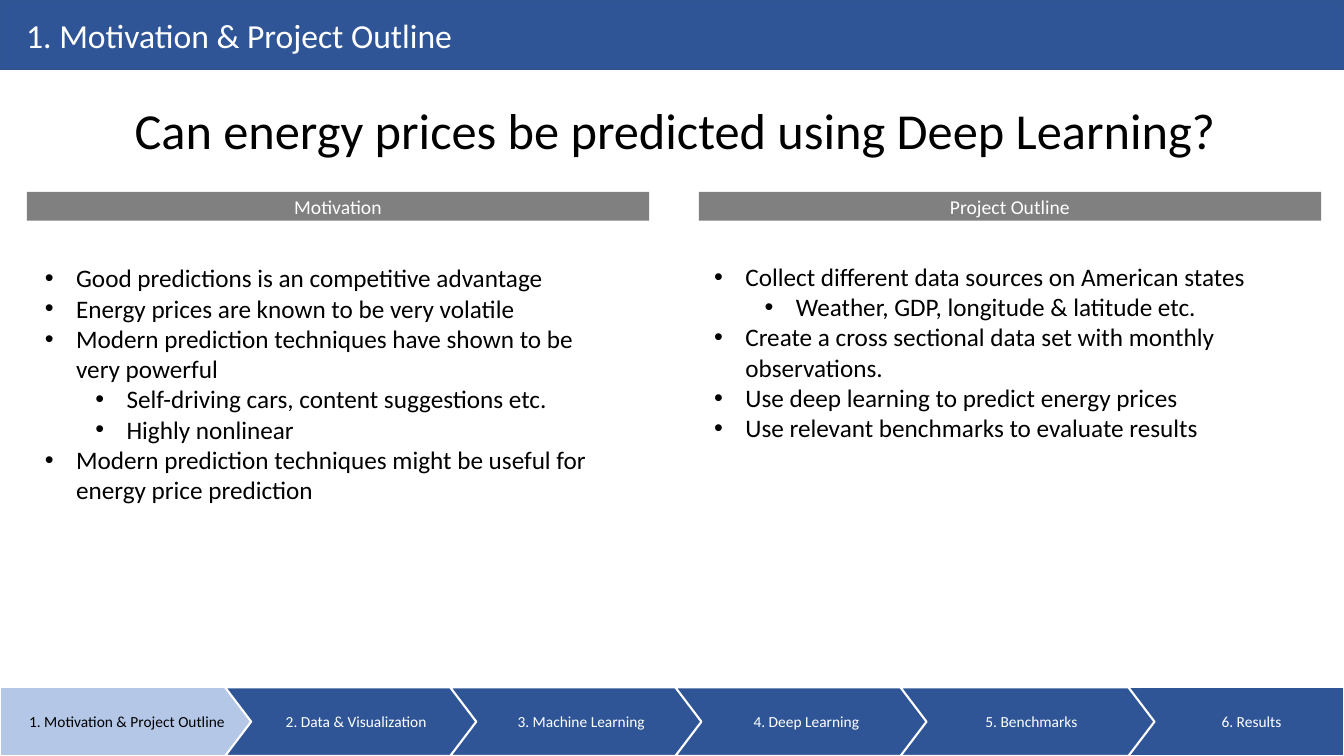
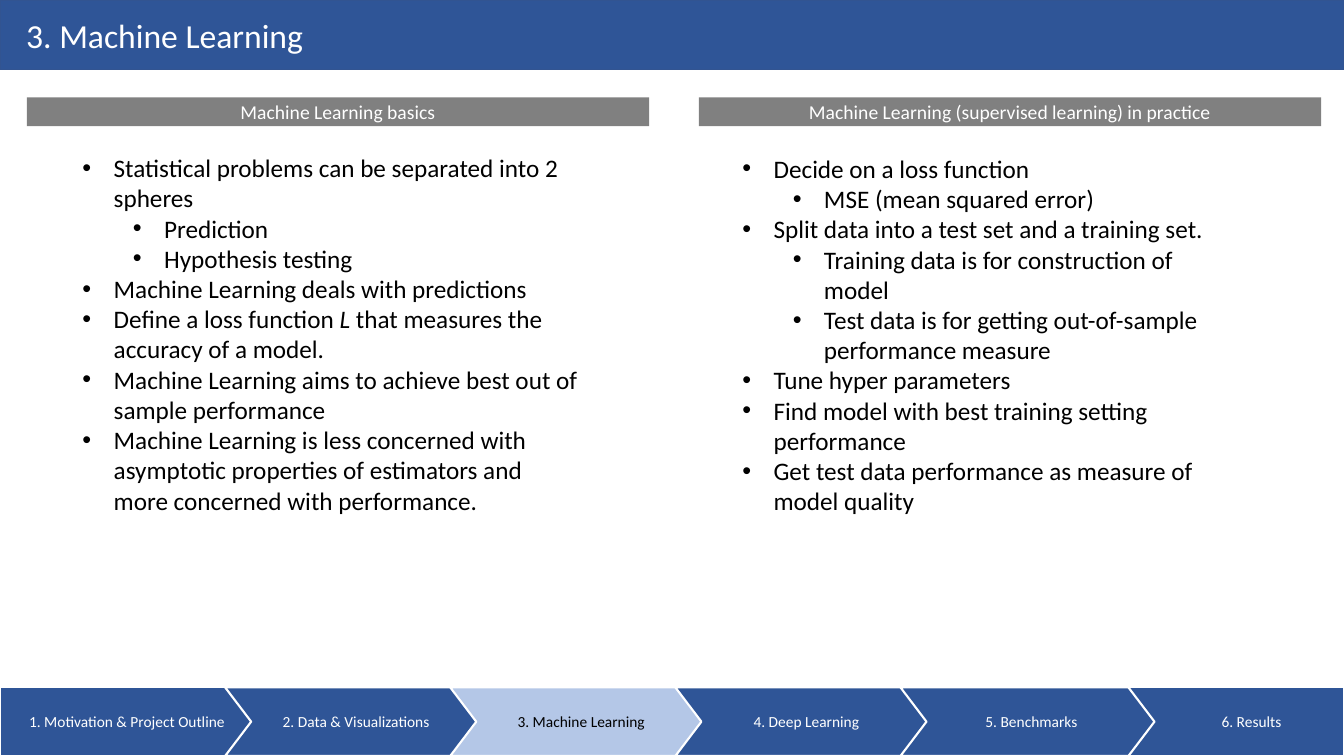
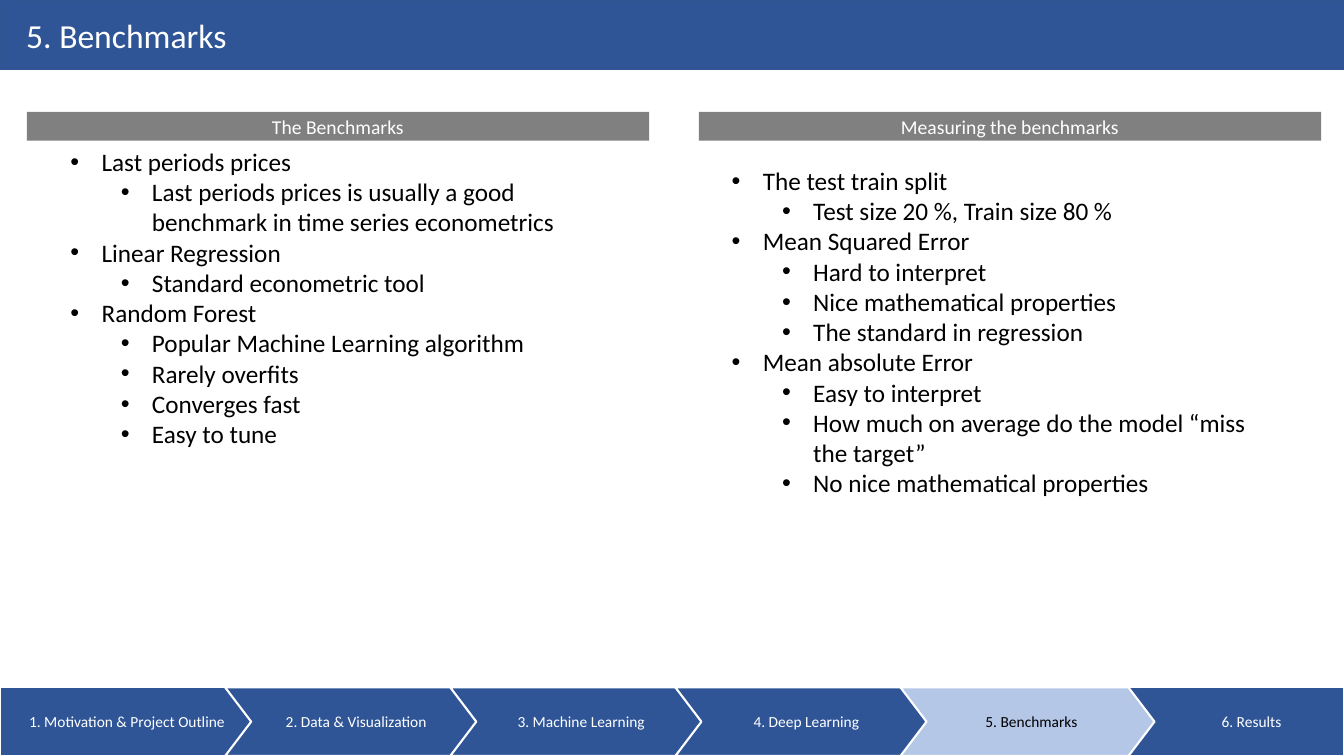
from lxml import etree
from pptx import Presentation
from pptx.dml.color import RGBColor
from pptx.enum.shapes import MSO_SHAPE as Kind
from pptx.enum.text import MSO_ANCHOR as Anchor, PP_ALIGN as Align
from pptx.oxml.ns import qn
from pptx.util import Inches, Pt

WIDE, HIGH = Inches(13.333), Inches(7.5)
FONT = "Calibri"
NAVY, EDGE, PALE, GREY = "2F5597", "325491", "B4C7E7", "808080"
WHITE, BLACK = "FFFFFF", "000000"

# Boxes are (left, top, width, height) in percent of the slide
BAND = (0, 0, 100, 9.2)
TITLE = (1.2, 1.6, 35, 6)
FOOT = (0, 90.93, 100, 9.07)
HEAD = (6.1, 12.5, 88.3, 9.5)
COLS, COL_W, BAR_H = (2, 52), 46.3, 3.8
STEP, STEP_W, LAST = 16.75, 18.9, (85.65, 14.35)

STEPS = ["1. Motivation & Project Outline", "2. Data & Visualization",
         "3. Machine Learning", "4. Deep Learning", "5. Benchmarks", "6. Results"]

# Per panel: heading, body (shift, drop, width, height), lines; ">" marks a
# sub-point and asterisks mark italics
DECK = [
    dict(step=0, top=25.4, head="Can energy prices be predicted using Deep Learning?", panels=[
        ("Motivation", (0.6, 8.7, 44.2, 43.2), [
            "Good predictions is an competitive advantage",
            "Energy prices are known to be very volatile",
            "Modern prediction techniques have shown to be very powerful",
            ">Self-driving cars, content suggestions etc.",
            ">Highly nonlinear",
            "Modern prediction techniques might be useful for energy price prediction"]),
        ("Project Outline", (0.4, 8.5, 46.3, 30.3), [
            "Collect different data sources on American states",
            ">Weather, GDP, longitude & latitude etc.",
            "Create a cross sectional data set with monthly observations.",
            "Use deep learning to predict energy prices",
            "Use relevant benchmarks to evaluate results"])]),
    dict(step=2, top=12.9, labels={1: "2. Data & Visualizations"}, panels=[
        ("Machine Learning basics", (3.4, 6.6, 38.5, 49.9), [
            "Statistical problems can be separated into 2 spheres",
            ">Prediction",
            ">Hypothesis testing",
            "Machine Learning deals with predictions",
            "Define a loss function *L *that measures the accuracy of a model.",
            "Machine Learning aims to achieve best out of sample performance",
            "Machine Learning is less concerned with asymptotic properties of "
            "estimators and more concerned with performance."]),
        ("Machine Learning (supervised learning) in practice", (2.5, 6.7, 38.5, 49.9), [
            "Decide on a loss function",
            ">MSE (mean squared error)",
            "Split data into a test set and a training set.",
            ">Training data is for construction of model",
            ">Test data is for getting out-of-sample performance measure",
            "Tune hyper parameters",
            "Find model with best training setting performance",
            "Get test data performance as measure of model quality"])]),
    dict(step=4, top=14.8, panels=[
        ("The Benchmarks", (2.5, 3.9, 41.5, 41.7), [
            "Last periods prices",
            ">Last periods prices is usually a good benchmark in time series econometrics",
            "Linear Regression",
            ">Standard econometric tool",
            "Random Forest",
            ">Popular Machine Learning algorithm",
            ">Rarely overfits",
            ">Converges fast",
            ">Easy to tune"]),
        ("Measuring the benchmarks", (1.7, 6.4, 41.5, 53.9), [
            "The test train split",
            ">Test size 20 %, Train size 80 %",
            "Mean Squared Error",
            ">Hard to interpret",
            ">Nice mathematical properties",
            ">The standard in regression",
            "Mean absolute Error",
            ">Easy to interpret",
            ">How much on average do the model “miss the target”",
            ">No nice mathematical properties"])]),
]


def rgb(code):
    return RGBColor.from_string(code)


def place(box):
    left, top, wide, high = box
    return (round(left * WIDE / 100), round(top * HIGH / 100),
            round(wide * WIDE / 100), round(high * HIGH / 100))


def dot(para, level):
    """Give a paragraph a hanging bullet."""
    para.level = level
    props = para._p.get_or_add_pPr()
    props.set("marL", str(Inches(0.31 + 0.5 * level)))
    props.set("indent", str(-Inches(0.31)))
    etree.SubElement(props, qn("a:buFont")).set("typeface", "Arial")
    etree.SubElement(props, qn("a:buChar")).set("char", "•")


def write(shape, lines, size=18, color=BLACK, align=Align.LEFT,
          anchor=Anchor.MIDDLE, inset=None, bullet=False):
    frame = shape.text_frame
    frame.word_wrap = True
    frame.vertical_anchor = anchor
    if inset:
        (frame.margin_left, frame.margin_top,
         frame.margin_right, frame.margin_bottom) = map(Inches, inset)
    for i, line in enumerate([lines] if isinstance(lines, str) else lines):
        para = frame.add_paragraph() if i else frame.paragraphs[0]
        para.alignment = align
        if bullet:
            dot(para, int(line.startswith(">")))
            line = line.lstrip(">")
        for j, part in enumerate(line.split("*")):
            run = para.add_run()
            run.text = part
            font = run.font
            font.name, font.size, font.color.rgb = FONT, Pt(size), rgb(color)
            if j % 2:
                font.italic = True


def draw(slide, box, kind=Kind.RECTANGLE, fill=None, line=None, width=1.5):
    shape = slide.shapes.add_shape(kind, *place(box))
    shape.shadow.inherit = False
    if fill:
        shape.fill.solid()
        shape.fill.fore_color.rgb = rgb(fill)
    else:
        shape.fill.background()
    if line:
        shape.line.color.rgb = rgb(line)
        shape.line.width = Pt(width)
    else:
        shape.line.fill.background()
    return shape


def dress(layout, slide):
    """Move the two shared bands from a slide to its layout."""
    bands = [draw(slide, BAND, fill=NAVY, line=EDGE, width=1),
             draw(slide, FOOT, fill=NAVY, line=WHITE)]
    for i, band in enumerate(bands):
        layout.shapes.element.insert(2 + i, band.element)


def title(slide, box, text):
    shape = slide.shapes.title
    shape.left, shape.top, shape.width, shape.height = place(box)
    write(shape, text, size=24, color=WHITE, inset=(0.1, 0.05, 0.1, 0.05))


def steps(slide, box, names, now):
    """Chevron trail with the current step lit."""
    left, top, _, high = box
    for i, name in enumerate(names):
        last = i == len(names) - 1
        x, wide = LAST if last else (i * STEP, STEP_W)
        lit = i == now
        shape = draw(slide, (left + x, top, wide, high),
                     kind=Kind.CHEVRON if i else Kind.RECTANGLE,
                     fill=None if last else PALE if lit else NAVY,
                     line=None if last else WHITE)
        if i:
            shape.adjustments[0] = 0.38
        write(shape, name, size=11, color=BLACK if lit else WHITE,
              align=Align.CENTER, inset=(0.08, 0, 0, 0) if i else None)


def panel(slide, box, head, body, lines):
    """Grey heading bar with bullets below it."""
    left, top, _, _ = box
    write(draw(slide, box, fill=GREY), head, size=14, color=WHITE,
          align=Align.CENTER)
    dx, dy, wide, high = body
    text = slide.shapes.add_textbox(*place((left + dx, top + dy, wide, high)))
    write(text, lines, anchor=Anchor.TOP, bullet=True)


def build(slide, step, top, panels, head=None, labels=None):
    names = [(labels or {}).get(i, name) for i, name in enumerate(STEPS)]
    title(slide, TITLE, names[step])
    steps(slide, FOOT, names, step)
    for left, parts in zip(COLS, panels):
        panel(slide, (left, top, COL_W, BAR_H), *parts)
    if head:
        write(slide.shapes.add_textbox(*place(HEAD)), head, size=36,
              align=Align.CENTER, anchor=Anchor.TOP)


def main():
    prs = Presentation()
    prs.slide_width, prs.slide_height = WIDE, HIGH
    layout = prs.slide_layouts[5]
    for i, page in enumerate(DECK):
        slide = prs.slides.add_slide(layout)
        if i == 0:
            dress(layout, slide)
        build(slide, **page)
    prs.save("out.pptx")


if __name__ == "__main__":
    main()
